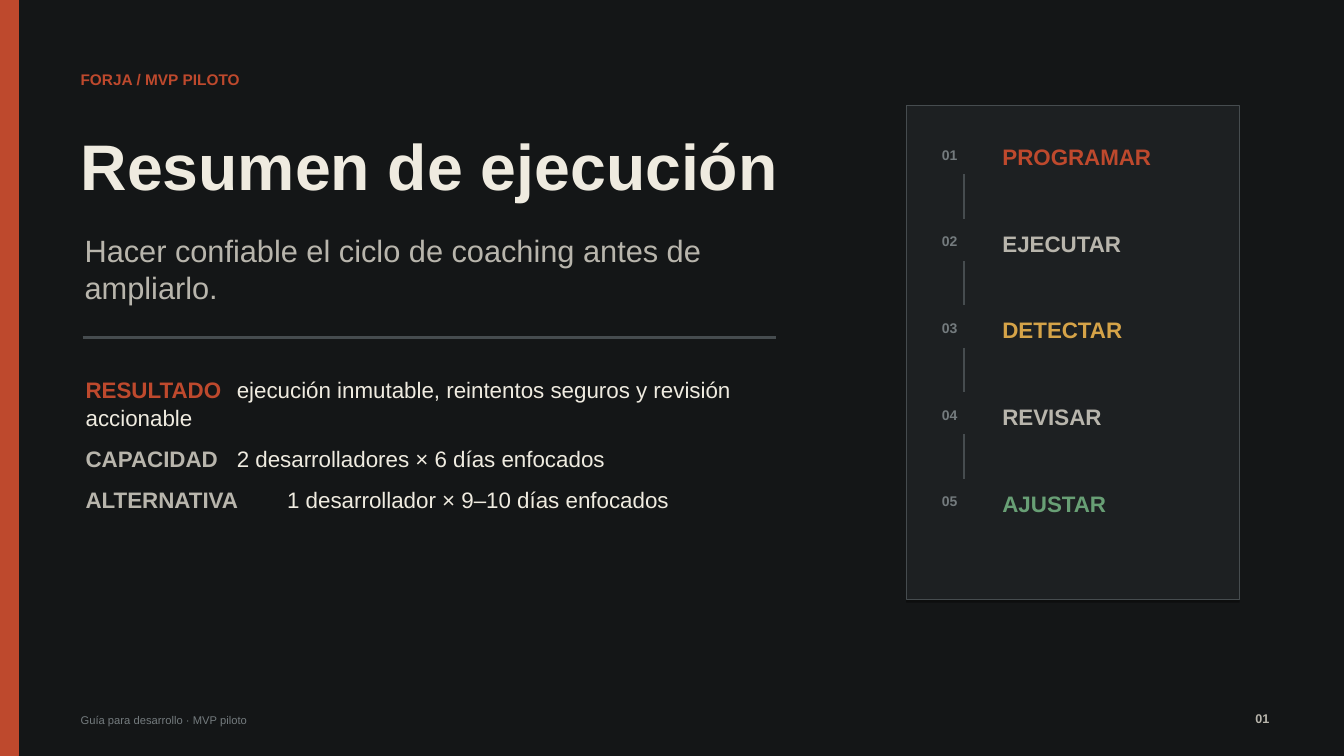
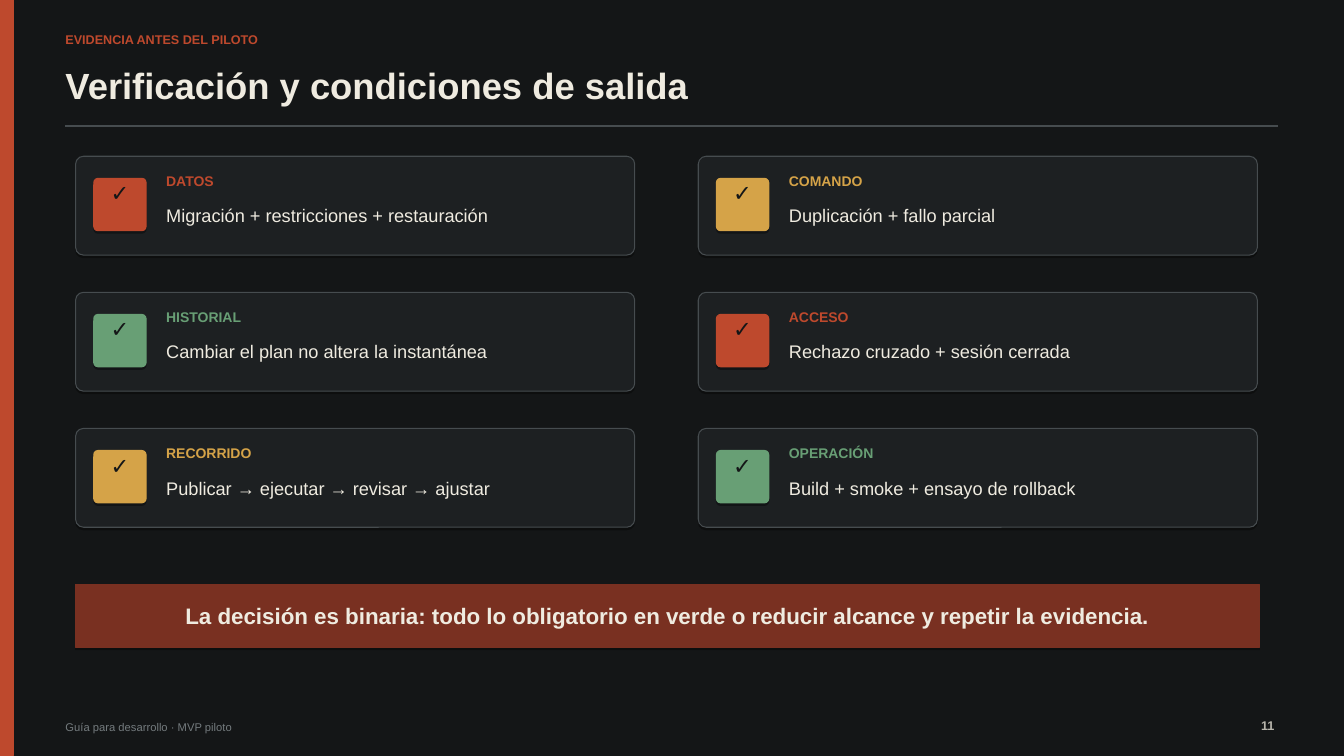
"""Build two slides of a pilot guide: the execution summary and the exit conditions."""
from itertools import cycle

from lxml import etree
from pptx import Presentation
from pptx.dml.color import RGBColor
from pptx.enum.shapes import MSO_CONNECTOR, MSO_SHAPE
from pptx.enum.text import MSO_ANCHOR, MSO_AUTO_SIZE, PP_ALIGN
from pptx.oxml.ns import qn
from pptx.util import Pt

FONT = "Arial"
COLORS = {
    "background": "141617", "panel": "1D2022", "border": "464C4F",
    "cream": "EFEBE0", "muted": "B8B5AC", "gray": "747B7E",
    "accent": "BE492D", "gold": "D5A348", "green": "689F75", "banner": "793021",
}
FOOTER = "Guía para desarrollo · MVP piloto"

SUMMARY = {
    "layout": 1, "bar_width": 13, "number": "01",
    "section": ("FORJA / MVP PILOTO", 11, (57.6, 50.4, 288, 13)),
    "title": ("Resumen de ejecución", 46, (57.6, 90, 547.2, 55.4)),
    "rule": ((59, 241.2, 554.4, 241.2), 2),
    "footer": (57.6, 509.8, 252, 9.4),
    "page": (871.2, 507.6, 36, 10.8),
}
SUBTITLE = "Hacer confiable el ciclo de coaching antes de ampliarlo."
FACTS = [
    ("RESULTADO", "ejecución inmutable, reintentos seguros y revisión accionable", "accent", 105.7),
    ("CAPACIDAD", "2 desarrolladores × 6 días enfocados", "muted", 103.5),
    ("ALTERNATIVA", "1 desarrollador × 9–10 días enfocados", "muted", 117.6),
]
STEPS = [
    ("PROGRAMAR", "accent"), ("EJECUTAR", "muted"), ("DETECTAR", "gold"),
    ("REVISAR", "muted"), ("AJUSTAR", "green"),
]

VERIFICATION = {
    "layout": 5, "bar_width": 9.4, "number": "11",
    "section": ("EVIDENCIA ANTES DEL PILOTO", 9, (46.8, 23, 540, 10.8)),
    "title": ("Verificación y condiciones de salida", 26, (46.8, 45.4, 856.8, 31)),
    "rule": ((46.8, 90, 913, 90), 1),
    "footer": (46.8, 514.8, 252, 9.4),
    "page": (871.2, 512.6, 39.6, 10.8),
}
CHECKS = [
    ("DATOS", "Migración + restricciones + restauración"),
    ("COMANDO", "Duplicación + fallo parcial"),
    ("HISTORIAL", "Cambiar el plan no altera la instantánea"),
    ("ACCESO", "Rechazo cruzado + sesión cerrada"),
    ("RECORRIDO", "Publicar → ejecutar → revisar → ajustar"),
    ("OPERACIÓN", "Build + smoke + ensayo de rollback"),
]
DECISION = "La decisión es binaria: todo lo obligatorio en verde o reducir alcance y repetir la evidencia."


def rgb(color):
    return RGBColor.from_string(COLORS[color])


def place(shape, box):
    shape.left, shape.top, shape.width, shape.height = map(Pt, box)


def prepare_frame(shape, side=0, anchor=MSO_ANCHOR.TOP):
    frame = shape.text_frame
    frame.word_wrap = True
    frame.auto_size = MSO_AUTO_SIZE.NONE
    frame.vertical_anchor = anchor
    frame.margin_left = frame.margin_right = Pt(side)
    frame.margin_top = frame.margin_bottom = 0
    return frame


def style_run(run, size, color, bold):
    run.font.name = FONT
    run.font.size = Pt(size)
    run.font.bold = bold
    run.font.color.rgb = rgb(color)


def write(shape, text, size, color, bold=False, align=PP_ALIGN.LEFT, anchor=MSO_ANCHOR.TOP):
    frame = prepare_frame(shape, anchor=anchor)
    frame.text = text
    paragraph = frame.paragraphs[0]
    paragraph.alignment = align
    style_run(paragraph.runs[0], size, color, bold)


def add_text(slide, box, *text_style, **options):
    write(slide.shapes.add_textbox(*map(Pt, box)), *text_style, **options)


def add_panel(slide, box, fill, border=None, rounded=False):
    kind = MSO_SHAPE.ROUNDED_RECTANGLE if rounded else MSO_SHAPE.RECTANGLE
    shape = slide.shapes.add_shape(kind, *map(Pt, box))
    if rounded:
        shape.adjustments[0] = 0.08
    shape.fill.solid()
    shape.fill.fore_color.rgb = rgb(fill)
    shape.line.color.rgb = rgb(border or fill)
    shape.line.width = Pt(0.75)
    shape.shadow.inherit = False
    effects = shape._element.spPr.find(qn("a:effectLst"))
    shadow = etree.SubElement(effects, qn("a:outerShdw"), dist=str(Pt(1.8)), dir="5400000", rotWithShape="0")
    black = etree.SubElement(shadow, qn("a:srgbClr"), val="000000")
    etree.SubElement(black, qn("a:alpha"), val="35000")
    return shape


def add_line(slide, ends, width):
    line = slide.shapes.add_connector(MSO_CONNECTOR.STRAIGHT, *map(Pt, ends))
    line.line.color.rgb = rgb("border")
    line.line.width = Pt(width)
    etree.SubElement(line._element.spPr, qn("a:effectLst"))


def add_slide(presentation, design):
    slide = presentation.slides.add_slide(presentation.slide_layouts[design["layout"]])
    add_panel(slide, (0, 0, design["bar_width"], 540), "accent")
    section, section_size, section_box = design["section"]
    add_text(slide, section_box, section, section_size, "accent", True)
    title, title_size, title_box = design["title"]
    place(slide.shapes.title, title_box)
    write(slide.shapes.title, title, title_size, "cream", True)
    add_line(slide, *design["rule"])
    add_text(slide, design["footer"], FOOTER, 8, "gray")
    add_text(slide, design["page"], design["number"], 9, "muted", True, align=PP_ALIGN.RIGHT)
    return slide


def fill_facts(body):
    place(body, (59, 267.8, 511.2, 99.4))
    frame = prepare_frame(body, side=2.2)
    for index, (label, detail, color, tab) in enumerate(FACTS):
        paragraph = frame.add_paragraph() if index else frame.paragraphs[0]
        properties = paragraph._p.get_or_add_pPr()
        properties.set("marL", "0")
        properties.set("indent", "0")
        etree.SubElement(properties, qn("a:buNone"))
        tabs = etree.SubElement(properties, qn("a:tabLst"))
        etree.SubElement(tabs, qn("a:tab"), pos=str(Pt(tab)), algn="l")
        paragraph.line_spacing = 1.05
        paragraph.space_before = Pt(0)
        paragraph.space_after = Pt(9.2)
        for text, run_color, bold in ((label + "\t", color, True), (detail, "cream", False)):
            run = paragraph.add_run()
            run.text = text
            style_run(run, 16, run_color, bold)


def build_summary(presentation):
    slide = add_slide(presentation, SUMMARY)
    add_text(slide, (60.5, 165.6, 540, 52.6), SUBTITLE, 22, "muted")
    fill_facts(slide.placeholders[1])
    add_panel(slide, (648, 75.6, 237.6, 352.8), "panel", "border")
    for index, (step, color) in enumerate(STEPS):
        top = 102.2 + 61.92 * index
        add_text(slide, (673.2, top + 2.2, 32.4, 12.2), f"{index + 1:02}", 10, "gray", True)
        add_text(slide, (716.4, top, 115.2, 19.4), step, 16, color, True)
        if index < len(STEPS) - 1:
            add_line(slide, (689, top + 22.3, 689, top + 54), 1)


def build_verification(presentation):
    slide = add_slide(presentation, VERIFICATION)
    for index, ((label, detail), color) in enumerate(zip(CHECKS, cycle(("accent", "gold", "green")))):
        row, column = divmod(index, 2)
        left, top = 54 + 445 * column, 111.6 + 97.2 * row
        add_panel(slide, (left, top, 399.6, 70.6), "panel", "border", rounded=True)
        badge = add_panel(slide, (left + 13, top + 15.8, 37.4, 37.4), color, rounded=True)
        write(badge, "✓", 16, "background", True, align=PP_ALIGN.CENTER)
        add_text(slide, (left + 64.8, top + 11.5, 86.4, 12.2), label, 10, color, True)
        add_text(slide, (left + 64.8, top + 34.6, 306, 15.8), detail, 13, "cream")
    banner = add_panel(slide, (54, 417.6, 846, 44.6), "banner")
    write(banner, DECISION, 16, "cream", True, align=PP_ALIGN.CENTER, anchor=MSO_ANCHOR.MIDDLE)


def main():
    presentation = Presentation()
    presentation.slide_width, presentation.slide_height = Pt(960.48), Pt(540)
    background = presentation.slide_master.background.fill
    background.solid()
    background.fore_color.rgb = rgb("background")
    build_summary(presentation)
    build_verification(presentation)
    presentation.save("out.pptx")


if __name__ == "__main__":
    main()
